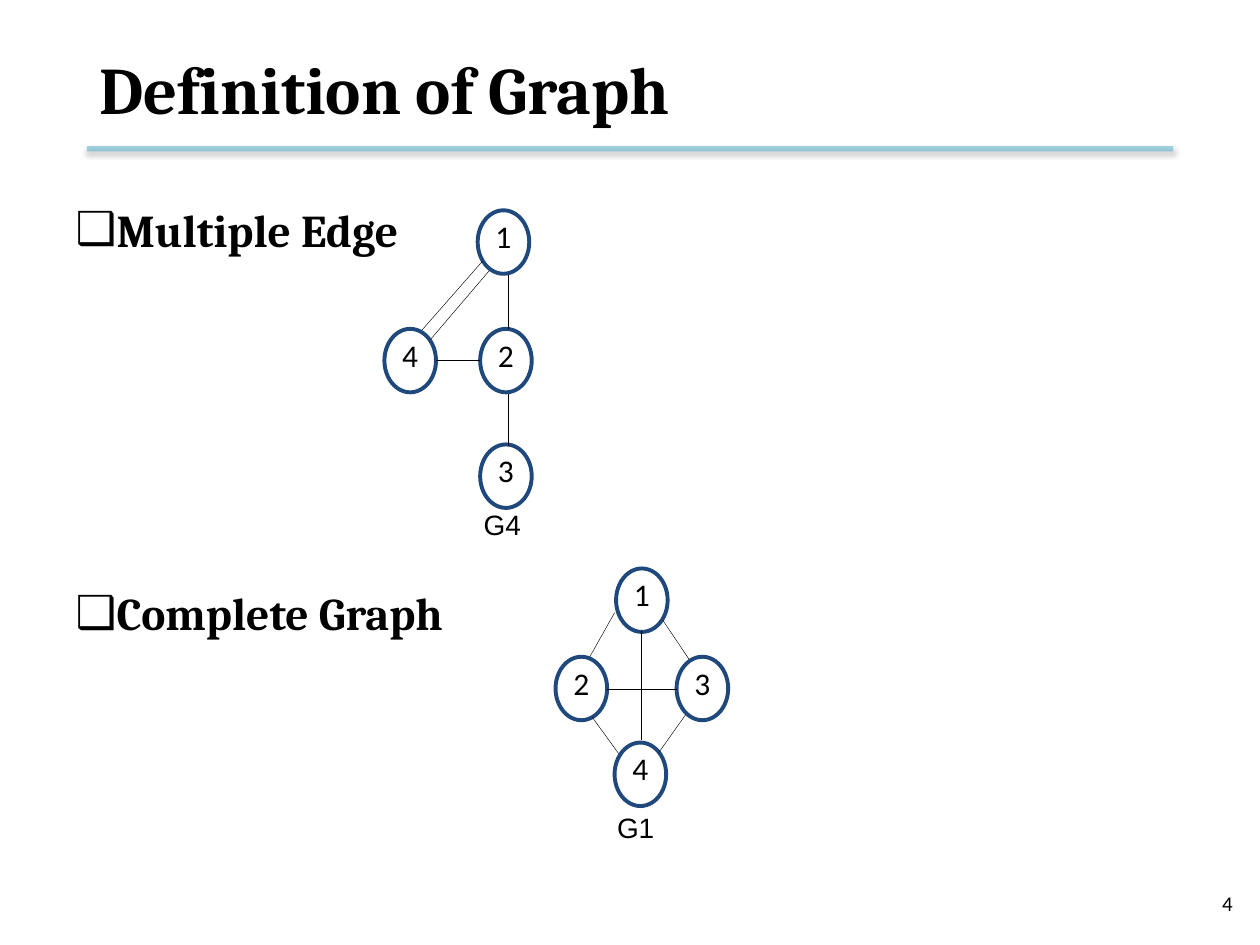
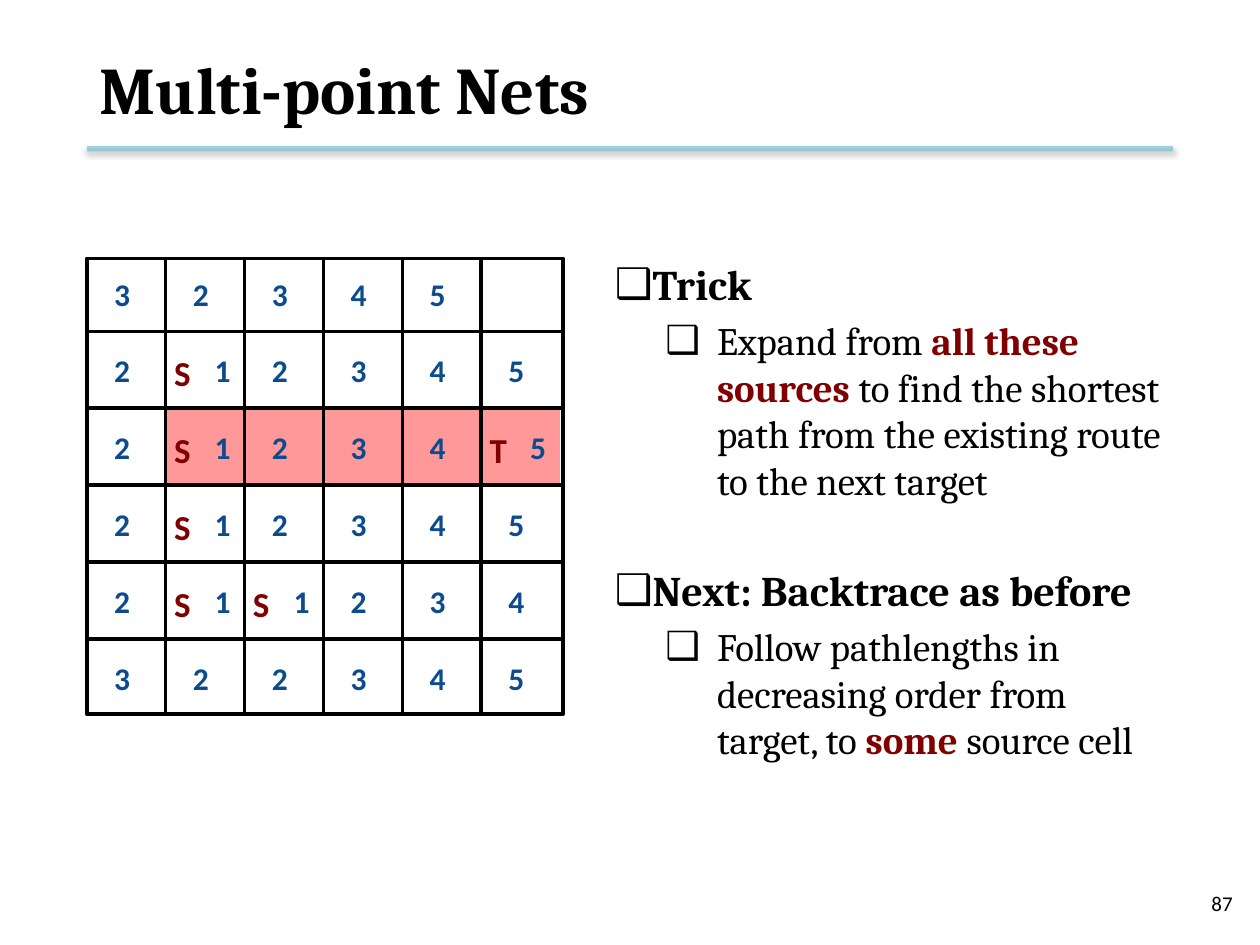
from collections import namedtuple
from lxml.etree import SubElement
from pptx import Presentation
from pptx.dml.color import RGBColor
from pptx.enum.shapes import MSO_CONNECTOR as Line, MSO_SHAPE as Preset
from pptx.enum.text import MSO_ANCHOR as Anchor, MSO_AUTO_SIZE as Fit, PP_ALIGN as Align
from pptx.oxml.ns import qn
from pptx.util import Cm, Pt

Box = namedtuple("Box", "left top width height")
Graph = namedtuple("Graph", "left top nodes edges label label_at")

BLACK, RULE, NODE_LINE = "000000", "4BACC6", "1F497D"
SOURCE, DISTANCE, ROUTE = "800000", "0B4B8E", "FF9999"

TITLE_BOX = Box(1.75, 0.43, 21.9, 2.69)
NUMBER_BOX = Box(19.18, 17.7, 5.92, 1.02)
RULE_Y = 3.0
NODE_SIZE = (1.04, 1.28)
COLUMN, ROW = 1.59, 1.55

HEADING = {"level": 0, "margin": 0.64, "indent": -1.14}
DETAIL = {"level": 1, "margin": 2.06, "indent": -1.04}

MULTIPLE_EDGE = Graph(
    7.75, 4.24,
    {"1": (1.88, 0), "4": (0, 2.39), "2": (1.93, 2.39), "3": (1.93, 4.72)},
    [(2.49, 1.3, 2.49, 2.39), (2.49, 3.71, 2.49, 4.75), (1.04, 3.02, 1.93, 3.02),
     (1.98, 1.02, 0.76, 2.41), (2.11, 1.22, 0.94, 2.59)],
    "G4", (1.75, 5.87))
COMPLETE = Graph(
    11.2, 11.46,
    {"1": (1.22, 0), "3": (2.44, 1.78), "4": (1.19, 3.51), "2": (0, 1.78)},
    [(2.16, 1.04, 2.69, 1.83), (2.08, 3.71, 2.62, 2.95), (0.74, 3, 1.27, 3.73),
     (0.69, 1.78, 1.19, 0.89), (1.04, 2.44, 2.44, 2.44), (1.73, 1.27, 1.73, 3.45)],
    "G1", (0.99, 4.75))

MAZE = ["3 2 3 4 5",
        "2 S1 2 3 4 5",
        "2 S1 2 3 4 T5",
        "2 S1 2 3 4 5",
        "2 S1 S1 2 3 4",
        "3 2 2 3 4 5"]


def color(code):
    """Turn a hex string into a colour."""
    return RGBColor.from_string(code)


def assign(target, values):
    """Set every attribute named in a dict."""
    for name, value in values.items():
        setattr(target, name, value)


def lengths(box):
    """Give the sides of a box in centimetres."""
    return [Cm(side) for side in box]


def add_span(para, text, size, font="Calibri", ink=BLACK, bold=False):
    """Add a formatted run to a paragraph."""
    span = para.add_run()
    span.text = text
    assign(span.font, {"size": Pt(size), "name": font, "bold": bold})
    span.font.color.rgb = color(ink)


def add_line(page, ends, width, ink=BLACK):
    """Draw a straight line without a shadow and return it with its effect list."""
    line = page.shapes.add_connector(Line.STRAIGHT, *lengths(ends))
    line.line.width = Pt(width)
    line.line.color.rgb = color(ink)
    effects = SubElement(line._element.spPr, qn("a:effectLst"))
    return line, effects


def add_preset(page, preset, box, fill=None, ink=None, width=1):
    """Add a plain preset shape."""
    shape = page.shapes.add_shape(preset, *lengths(box))
    shape.shadow.inherit = False
    if fill:
        shape.fill.solid()
        shape.fill.fore_color.rgb = color(fill)
    else:
        shape.fill.background()
    if ink:
        shape.line.color.rgb = color(ink)
        shape.line.width = Pt(width)
    else:
        shape.line.fill.background()
    return shape


def add_label(page, box, text, size, anchor=Anchor.TOP, **look):
    """Add a one-line text box that fits its text."""
    frame = page.shapes.add_textbox(*lengths(box)).text_frame
    assign(frame, {"word_wrap": False, "auto_size": Fit.SHAPE_TO_FIT_TEXT,
                   "vertical_anchor": anchor})
    add_span(frame.paragraphs[0], text, size, **look)


def place(holder, box, anchor):
    """Move a placeholder to a box and return its text frame."""
    assign(holder, dict(zip(box._fields, lengths(box))))
    assign(holder.text_frame, {"word_wrap": True, "auto_size": Fit.NONE,
                               "vertical_anchor": anchor})
    return holder.text_frame


def add_rule(page):
    """Draw the translucent rule with its soft shadow under the title."""
    right = TITLE_BOX.left + TITLE_BOX.width
    line, effects = add_line(page, (TITLE_BOX.left, RULE_Y, right, RULE_Y), 3, RULE)
    ink = line._element.spPr.find(".//" + qn("a:srgbClr"))
    SubElement(ink, qn("a:alpha"), val="50000")
    shadow = SubElement(effects, qn("a:outerShdw"), blurRad=str(Pt(3.1)),
                        dist=str(Pt(1.6)), dir="5400000", rotWithShape="0")
    shade = SubElement(shadow, qn("a:srgbClr"), val=BLACK)
    SubElement(shade, qn("a:alpha"), val="38000")


def add_page(deck, title, number):
    """Add a slide with the shared rule, page number and title."""
    page = deck.slides.add_slide(deck.slide_layouts[1])
    add_rule(page)
    footer = page.shapes.add_textbox(*lengths(NUMBER_BOX)).text_frame
    assign(footer, {"word_wrap": True, "vertical_anchor": Anchor.MIDDLE})
    footer.paragraphs[0].alignment = Align.RIGHT
    add_span(footer.paragraphs[0], number, 12)
    para = place(page.shapes.title, TITLE_BOX, Anchor.MIDDLE).paragraphs[0]
    para.alignment = Align.LEFT
    add_span(para, title, 38, font="Cambria", bold=True)
    return page


def add_list(page, box, items):
    """Fill the body placeholder with (style, size, space before, spans) items."""
    frame = place(page.placeholders[1], box, Anchor.TOP)
    for index, (style, size, before, spans) in enumerate(items):
        para = frame.add_paragraph() if index else frame.paragraphs[0]
        props = para._p.get_or_add_pPr()
        props.set("marL", str(Cm(style["margin"])))
        props.set("indent", str(Cm(style["indent"])))
        SubElement(props, qn("a:buFont"), typeface="Arial")
        SubElement(props, qn("a:buChar"), char="❑")
        assign(para, {"level": style["level"], "space_before": Pt(before)})
        for text, ink, bold in spans:
            add_span(para, text, size, font="Cambria", ink=ink, bold=bold)


def draw_graph(page, graph):
    """Draw the nodes, edges and name of a graph from its top left corner."""
    for name, (x, y) in graph.nodes.items():
        box = (graph.left + x, graph.top + y, *NODE_SIZE)
        frame = add_preset(page, Preset.OVAL, box, ink=NODE_LINE, width=2.25).text_frame
        assign(frame, {"vertical_anchor": Anchor.TOP, "margin_left": 0, "margin_top": 0,
                       "margin_right": 0, "margin_bottom": 0})
        para = frame.paragraphs[0]
        assign(para, {"alignment": Align.CENTER, "line_spacing": 0.96})
        add_span(para, name, 18)
    for x1, y1, x2, y2 in graph.edges:
        add_line(page, (graph.left + x1, graph.top + y1,
                        graph.left + x2, graph.top + y2), 0.25)
    x, y = graph.label_at
    add_label(page, (graph.left + x, graph.top + y, 1.42, 0.94), graph.label, 16,
              anchor=Anchor.MIDDLE, font="Arial")


def draw_maze(page, box):
    """Draw the routing grid with its route, sources and distances."""
    first_row = box.top - 0.08
    add_preset(page, Preset.RECTANGLE,
               (box.left + COLUMN, first_row + 2 * ROW, 5 * COLUMN, ROW), fill=ROUTE)
    add_preset(page, Preset.RECTANGLE, box, ink=BLACK, width=2)
    for step in range(1, 6):
        x, y = box.left + step * COLUMN, first_row + step * ROW
        add_line(page, (box.left + 0.05, y, box.left + box.width - 0.05, y), 2)
        add_line(page, (x, box.top, x, box.top + box.height - 0.05), 2)
    for row, cells in enumerate(MAZE):
        for column, cell in enumerate(cells.split()):
            x, y = box.left + column * COLUMN, first_row + row * ROW + 0.28
            if len(cell) == 2:
                add_label(page, (x - 0.08, y, 0.99, 1.09), cell[0], 20,
                          ink=SOURCE, bold=True)
            shift = 0.74 if len(cell) == 2 else 0.3
            add_label(page, (x + shift, y, 0.86, 1.02), cell[-1], 18,
                      ink=DISTANCE, bold=True)


def graph_page(deck):
    """Build the slide that defines two kinds of graph."""
    page = add_page(deck, "Definition of Graph", "4")
    add_list(page, Box(1.27, 3.94, 22.86, 12.57), [
        (HEADING, 26, 0, [("Multiple Edge", BLACK, True)]),
        (HEADING, 26, 188, [("Complete Graph", BLACK, True)])])
    for graph in (MULTIPLE_EDGE, COMPLETE):
        draw_graph(page, graph)


def nets_page(deck):
    """Build the slide on routing nets with several points."""
    page = add_page(deck, "Multi-point Nets", "87")
    add_list(page, Box(12.14, 5.08, 11.79, 10.64), [
        (HEADING, 24.1, 0, [("Trick", BLACK, True)]),
        (DETAIL, 22.2, 4.4, [
            ("Expand from", BLACK, False),
            (" all these sources", SOURCE, True),
            (" to find the shortest path from the existing route to the next target",
             BLACK, False)]),
        (HEADING, 24.1, 35, [("Next: Backtrace as before", BLACK, True)]),
        (DETAIL, 22.2, 4.4, [
            ("Follow pathlengths in decreasing order from target, to ", BLACK, False),
            ("some ", SOURCE, True),
            ("source cell", BLACK, False)])])
    draw_maze(page, Box(1.75, 5.21, 9.6, 9.19))


def main():
    """Build and save the deck."""
    deck = Presentation()
    assign(deck, {"slide_width": Cm(25.4), "slide_height": Cm(19.05)})
    graph_page(deck)
    nets_page(deck)
    deck.save("out.pptx")


if __name__ == "__main__":
    main()
